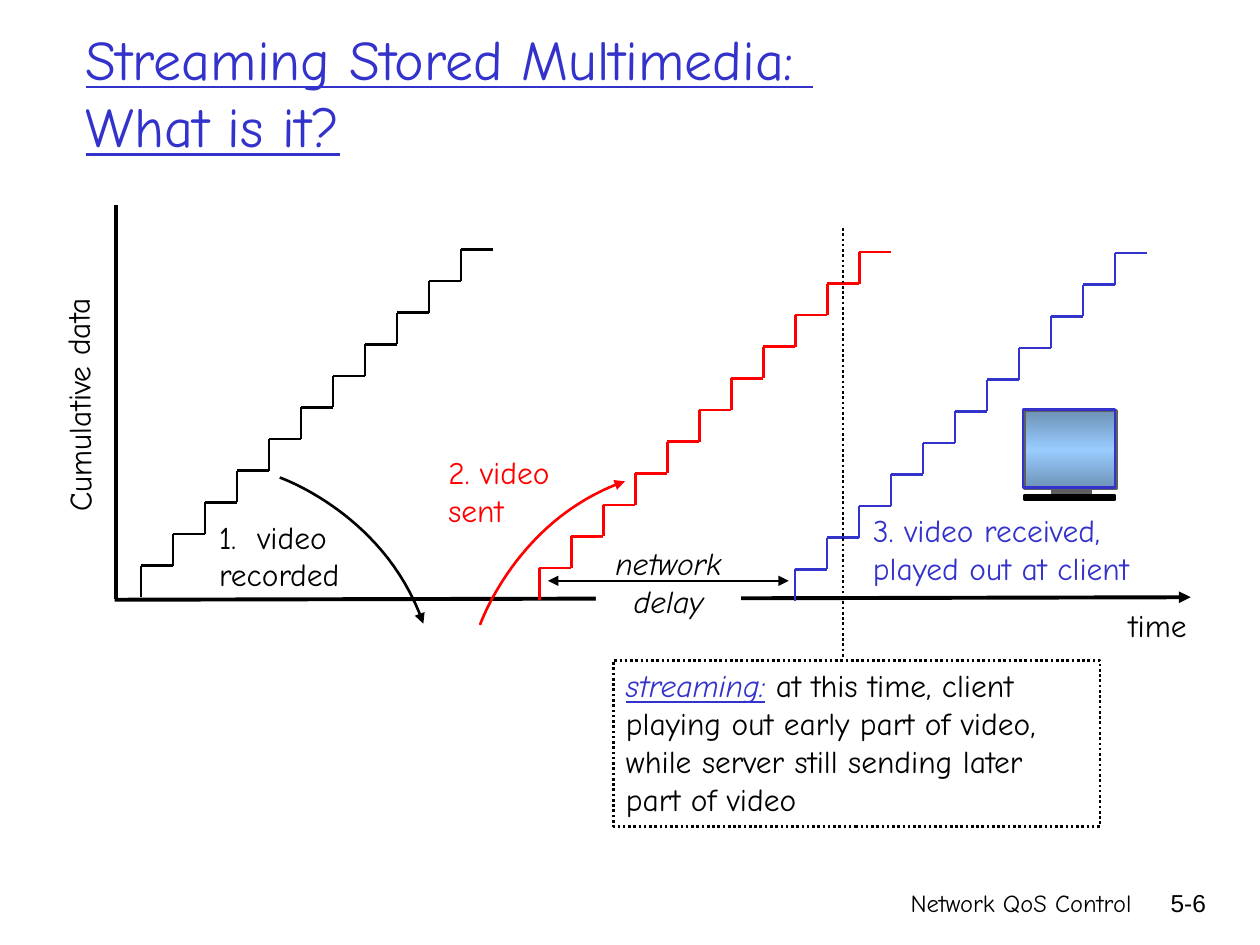
from copy import deepcopy

from pptx import Presentation
from pptx.dml.color import RGBColor
from pptx.enum.dml import MSO_LINE
from pptx.enum.shapes import MSO_CONNECTOR, MSO_SHAPE
from pptx.enum.text import MSO_ANCHOR, MSO_AUTO_SIZE, PP_ALIGN
from pptx.oxml.ns import qn
from pptx.oxml.xmlchemy import OxmlElement
from pptx.util import Inches, Pt

BLACK, RED, BLUE, WHITE, GRAY = "000000", "FF0000", "3333CC", "FFFFFF", "5F5F5F"
HAND = "Comic Neue"
STEPS, TREAD, RISER = 11, 0.254, 0.251


def rgb(color):
    return RGBColor.from_string(color)


def style_line(shape, color, width=1.5, dotted=False, head=False, tail=False):
    shape.line.color.rgb = rgb(color)
    shape.line.width = Pt(width)
    if dotted:
        shape.line.dash_style = MSO_LINE.ROUND_DOT
    for wanted, tag in ((head, "a:headEnd"), (tail, "a:tailEnd")):
        if wanted:
            end = OxmlElement(tag)
            end.set("type", "triangle")
            shape.line._get_or_add_ln().append(end)


def add_line(slide, start, end, color=BLACK, **style):
    line = slide.shapes.add_connector(
        MSO_CONNECTOR.STRAIGHT, *(Inches(v) for v in (*start, *end)))
    style_line(line, color, **style)
    line._element.spPr.append(OxmlElement("a:effectLst"))


def add_curve(slide, start, bend, end, color):
    """Arrow along a cubic Bezier curve whose first control point is its start."""
    count = 30
    points = []
    for i in range(count + 1):
        t = i / count
        weights = ((1 - t) ** 3 + 3 * t * (1 - t) ** 2, 3 * t * t * (1 - t), t ** 3)
        points.append(tuple(
            Inches(sum(w * p[axis] for w, p in zip(weights, (start, bend, end))))
            for axis in (0, 1)))
    builder = slide.shapes.build_freeform(*points[0])
    builder.add_line_segments(points[1:], close=False)
    curve = builder.convert_to_shape()
    curve.shadow.inherit = False
    curve.fill.background()
    style_line(curve, color, tail=True)


def add_rect(slide, box, fill=None):
    rect = slide.shapes.add_shape(MSO_SHAPE.RECTANGLE, *(Inches(v) for v in box))
    rect.shadow.inherit = False
    if fill:
        rect.fill.solid()
        rect.fill.fore_color.rgb = rgb(fill)
    else:
        rect.fill.background()
    rect.line.fill.background()
    return rect


def write(shape, lines, color=BLACK, size=18, font=HAND, align=PP_ALIGN.LEFT,
          italic=None, wrap=False):
    frame = shape.text_frame
    frame.word_wrap = wrap
    frame.vertical_anchor = MSO_ANCHOR.TOP
    frame.text = "\n".join(lines)
    for paragraph in frame.paragraphs:
        paragraph.alignment = align
        paragraph.font.name = font
        paragraph.font.size = Pt(size)
        paragraph.font.italic = italic
        paragraph.font.color.rgb = rgb(color)


def add_label(slide, box, lines, color=BLACK, **style):
    label = slide.shapes.add_textbox(*(Inches(v) for v in box))
    write(label, lines, color, **style)
    return label


def add_title(slide, box):
    title = slide.shapes.title
    title.left, title.top, title.width, title.height = (Inches(v) for v in box)
    frame = title.text_frame
    frame.text = "Streaming Stored Multimedia: \vWhat is it?"
    frame.auto_size = MSO_AUTO_SIZE.NONE
    frame.vertical_anchor = MSO_ANCHOR.MIDDLE
    paragraph = frame.paragraphs[0]
    paragraph.alignment = PP_ALIGN.LEFT
    paragraph.font.name = HAND
    paragraph.font.size = Pt(32)
    paragraph.font.underline = True
    paragraph.font.color.rgb = rgb(BLUE)


def add_axes(slide, box):
    left, top, width, height = box
    bottom = top + height
    add_line(slide, (left, top), (left, bottom), width=2.25)
    add_line(slide, (left + width, bottom - 0.01), (left - 0.01, bottom + 0.01),
             width=2.25, head=True)
    data_label = add_label(slide, (-0.45, 2.89, 2.14, 0.4), ["Cumulative data"], wrap=True)
    data_label.rotation = 269.4
    add_label(slide, (8.86, 4.76, 0.72, 0.4), ["time"])


def add_stairs(slide, left, bottom, color):
    for step in range(STEPS):
        x, y = left + step * TREAD, bottom - step * RISER
        corner = (x, y - RISER)
        add_line(slide, corner, (x, y), color)
        add_line(slide, (x + TREAD, y - RISER), corner, color)


def add_television(slide, box):
    left, top, width, height = box
    screen = add_rect(slide, (left + 0.01, top + 0.01, width, height))
    screen.fill.gradient()
    screen.fill.gradient_angle = 90
    stop_list = screen._element.spPr.find(qn("a:gradFill")).find(qn("a:gsLst"))
    stop_list.append(deepcopy(stop_list[0]))
    shades = ((0, "6D92B6"), (0.5, "99CCFF"), (1, "6D92B6"))
    for stop, (position, color) in zip(screen.fill.gradient_stops, shades):
        stop.position = position
        stop.color.rgb = rgb(color)
    style_line(screen, GRAY)

    stand = add_rect(slide, (left + 0.23, top + 0.63, 0.31, 0.04), GRAY)
    style_line(stand, GRAY)
    base = add_rect(slide, (left + 0.01, top + 0.68, width - 0.01, 0.04), BLACK)
    style_line(base, BLACK)
    bezel = add_rect(slide, box)
    style_line(bezel, BLUE)


def add_streaming_note(slide, box):
    add_line(slide, (6.69, 1.81), (6.69, box[1] - 0.02), dotted=True)
    note = add_rect(slide, box)
    style_line(note, BLACK, dotted=True)
    write(note, ["", "playing out early part of video,",
                 "while server still sending later", "part of video"])
    first_line = note.text_frame.paragraphs[0]
    term = first_line.add_run()
    term.text = "streaming:"
    term.font.italic = term.font.underline = True
    term.font.color.rgb = rgb(BLUE)
    first_line.add_run().text = " at this time, client"


def add_network_delay(slide, box):
    delay = add_rect(slide, box, WHITE)
    write(delay, ["network", "delay"], align=PP_ALIGN.CENTER, italic=True)
    middle = box[1] + 0.34
    add_line(slide, (4.35, middle), (6.26, middle), head=True, tail=True)


def add_footer(slide, top):
    add_label(slide, (4.86, top, 4.22, 0.5), ["Network QoS Control"],
              size=14, align=PP_ALIGN.RIGHT, wrap=True)
    add_label(slide, (8.93, top, 0.74, 0.5), ["5-6"],
              size=14, font="Arial", align=PP_ALIGN.RIGHT, wrap=True)


def main():
    deck = Presentation()
    deck.slide_width, deck.slide_height = Inches(10), Inches(7.5)
    slide = deck.slides.add_slide(deck.slide_layouts[5])

    add_footer(slide, 7)
    add_title(slide, (0.58, 0.25, 8.5, 0.95))
    add_axes(slide, (0.92, 1.63, 8.53, 3.12))

    # 1. Recording
    add_curve(slide, (2.22, 3.79), (3.06, 4.08), (3.36, 4.95), BLACK)
    add_label(slide, (1.64, 4.06, 1.27, 0.7), ["1.  video", "recorded"])
    add_stairs(slide, 1.12, 4.74, BLACK)

    # 2. Sending
    add_curve(slide, (3.81, 4.96), (4.1, 4.12), (4.96, 3.82), RED)
    add_label(slide, (3.46, 3.55, 1.1, 0.7), ["2. video", "sent"], RED)
    add_stairs(slide, 4.28, 4.76, RED)

    # 3. Receiving and playout
    add_stairs(slide, 6.31, 4.77, BLUE)
    add_label(slide, (6.83, 4.01, 2.82, 0.7),
              ["3. video received,", "played out at client"], BLUE, wrap=True)
    add_television(slide, (8.12, 3.25, 0.73, 0.62))

    add_streaming_note(slide, (4.87, 5.24, 3.86, 1.32))
    add_network_delay(slide, (4.73, 4.27, 1.15, 0.7))
    deck.save("out.pptx")


if __name__ == "__main__":
    main()
